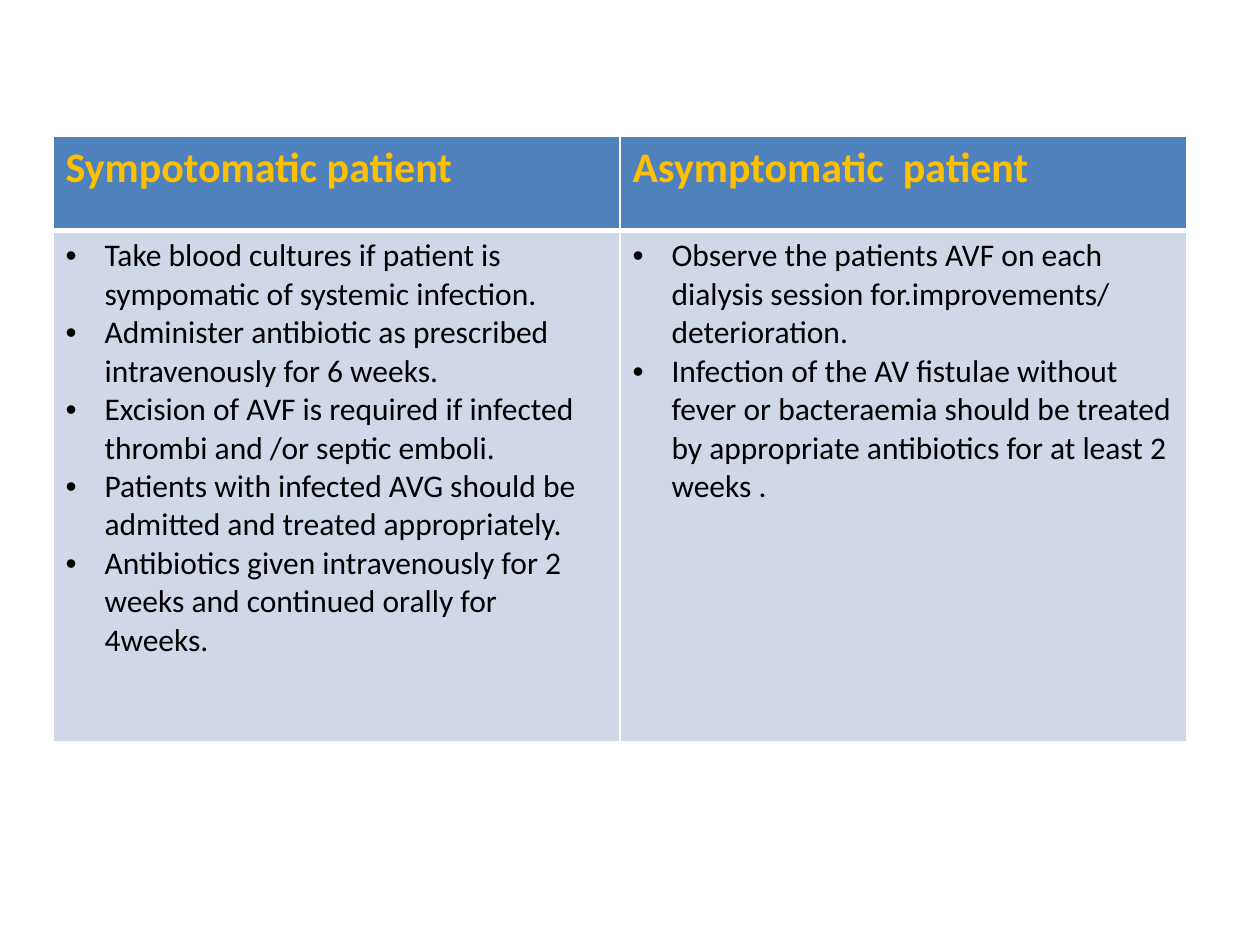
from lxml import etree
from pptx import Presentation
from pptx.dml.color import RGBColor
from pptx.oxml.ns import qn
from pptx.util import Inches, Pt

BLUE = RGBColor(0x4F, 0x81, 0xBD)
PALE = RGBColor(0xD0, 0xD8, 0xE8)
GOLD = RGBColor(0xFF, 0xC0, 0x00)
BLACK = RGBColor(0x00, 0x00, 0x00)
WHITE = RGBColor(0xFF, 0xFF, 0xFF)
FONT = "Calibri"

COLUMNS = [
    ("Sympotomatic patient", [
        "Take blood cultures if patient is sympomatic of systemic infection.",
        "Administer antibiotic as prescribed intravenously for 6 weeks.",
        "Excision of AVF is required if infected thrombi and /or septic emboli.",
        "Patients with infected AVG should be admitted and treated appropriately.",
        "Antibiotics given intravenously for 2 weeks and continued orally for 4weeks.",
    ]),
    ("Asymptomatic  patient", [
        "Observe the patients AVF on each dialysis session for.improvements/ deterioration.",
        "Infection of the AV fistulae without fever or bacteraemia should be treated "
        "by appropriate antibiotics for at least 2 weeks .",
    ]),
]


def add_text(para, text, size, color, bold=False):
    """Add one styled run to a paragraph."""
    run = para.add_run()
    run.text = text
    font = run.font
    font.name, font.size, font.bold = FONT, Pt(size), bold
    font.color.rgb = color


def add_bullet(para):
    """Give a paragraph a round bullet with a hanging indent."""
    props = para._p.get_or_add_pPr()
    indent = Inches(0.31)
    props.set("marL", str(indent))
    props.set("indent", str(-indent))
    etree.SubElement(props, qn("a:buFont"), typeface="Arial")
    etree.SubElement(props, qn("a:buChar"), char="•")


def style_cell(cell, fill, top, bottom):
    """Set the white borders and the fill of a cell."""
    props = cell._tc.get_or_add_tcPr()
    for side, width in (("L", 1), ("R", 1), ("T", top), ("B", bottom)):
        line = etree.SubElement(props, qn(f"a:ln{side}"), w=str(Pt(width)))
        solid = etree.SubElement(line, qn("a:solidFill"))
        etree.SubElement(solid, qn("a:srgbClr"), val=str(WHITE))
    cell.fill.solid()
    cell.fill.fore_color.rgb = fill


def fill_head(cell, text):
    """Write a column heading."""
    style_cell(cell, BLUE, 1, 3)
    add_text(cell.text_frame.paragraphs[0], text, 24, GOLD, True)


def fill_body(cell, items):
    """Write a bulleted list into a cell."""
    style_cell(cell, PALE, 3, 1)
    frame = cell.text_frame
    for i, item in enumerate(items):
        para = frame.add_paragraph() if i else frame.paragraphs[0]
        add_bullet(para)
        add_text(para, item, 18, BLACK)


def add_grid(slide):
    """Add the table that compares the two patient groups."""
    heights = (Inches(0.75), Inches(4.06))
    table = slide.shapes.add_table(
        len(heights), len(COLUMNS), Inches(0.42), Inches(1.08), Inches(9), sum(heights)
    ).table
    for row, height in zip(table.rows, heights):
        row.height = height
    for col, (head, items) in enumerate(COLUMNS):
        fill_head(table.cell(0, col), head)
        fill_body(table.cell(1, col), items)


def main():
    """Build and save the slide."""
    deck = Presentation()
    deck.slide_width, deck.slide_height = Inches(10), Inches(7.5)
    slide = deck.slides.add_slide(deck.slide_layouts[6])
    add_grid(slide)
    deck.save("out.pptx")


if __name__ == "__main__":
    main()
